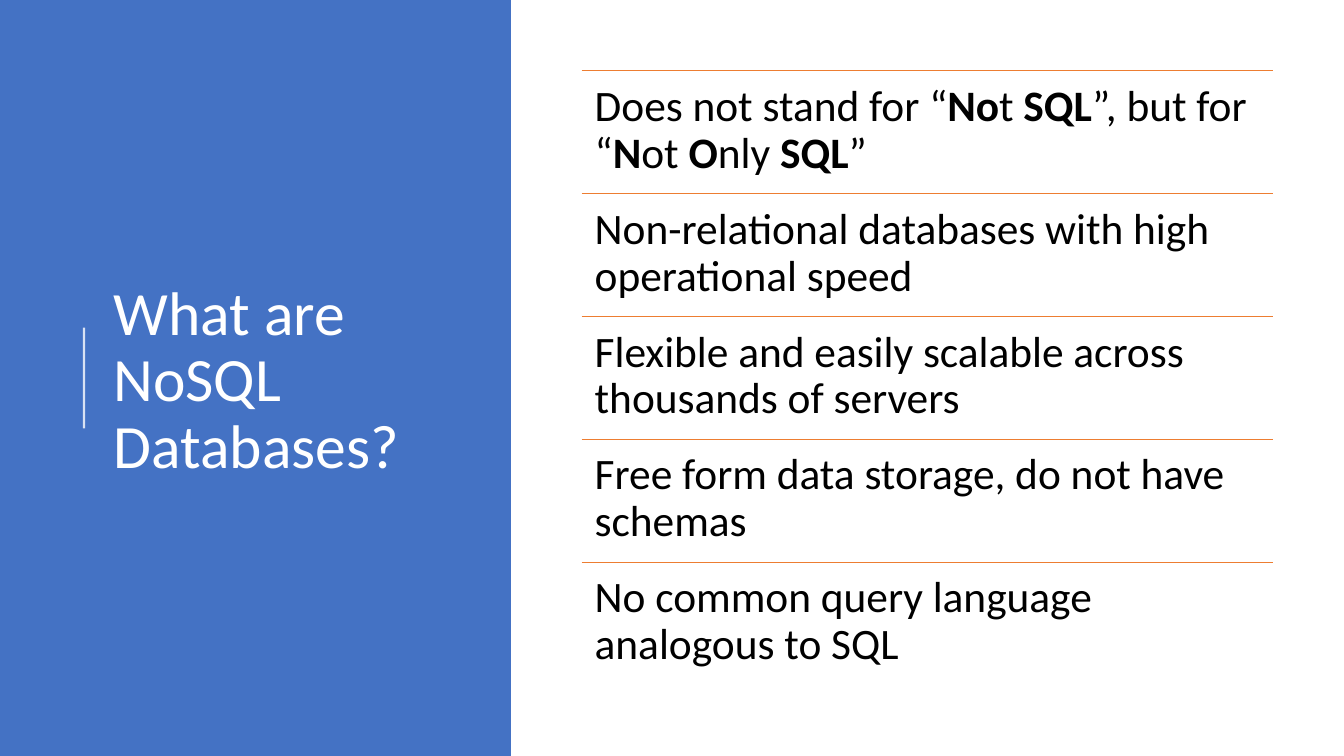
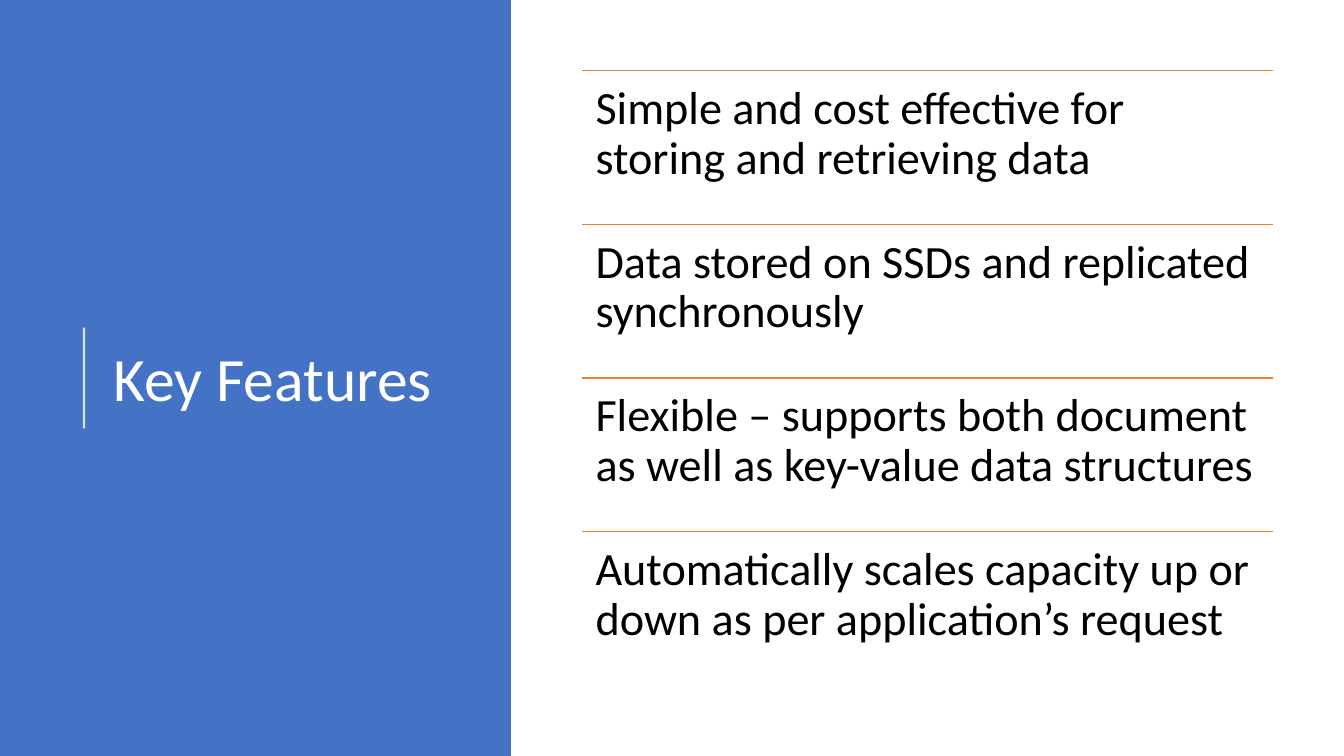
from collections import namedtuple
from dataclasses import dataclass

from lxml import etree
from pptx import Presentation
from pptx import util as u
from pptx.dml.color import RGBColor
from pptx.enum import shapes, text
from pptx.oxml.ns import qn

Box = namedtuple("Box", "left top width height")


@dataclass(frozen=True)
class Theme:
    font: str = "Calibri"
    panel: RGBColor = RGBColor(0x44, 0x72, 0xC4)
    on_panel: RGBColor = RGBColor(0xFF, 0xFF, 0xFF)
    rule: RGBColor = RGBColor(0xED, 0x7D, 0x31)
    ink: RGBColor = RGBColor(0, 0, 0)
    title_size: float = 44
    spacing: float = 0.9
    inset_ratio: float = 0.3
    accent_width: float = 1.5
    accent_opacity: int = 80
    rule_width: float = 1


THEME = Theme()
PAGE = Box(0, 0, 960, 540)
PANEL = Box(0, 0, 365, 540)
POINTS = Box(415.5, 50.5, 494, 439)

TOPICS = [
    ("What are NoSQL Databases?", 31, [
        [("Does not stand for “", False), ("No", True), ("t ", False), ("SQL", True),
         ("”, but for “", False), ("N", True), ("ot ", False), ("O", True),
         ("nly ", False), ("SQL", True), ("”", False)],
        [("Non-relational databases with high operational speed", False)],
        [("Flexible and easily scalable across thousands of servers", False)],
        [("Free form data storage, do not have schemas", False)],
        [("No common query language analogous to SQL", False)],
    ]),
    ("Key Features", 33, [
        [("Simple and cost effective for storing and retrieving data", False)],
        [("Data stored on SSDs and replicated synchronously", False)],
        [("Flexible – supports both document as well as key-value data structures", False)],
        [("Automatically scales capacity up or down as per application’s request", False)],
    ]),
]


def points(values):
    return [u.Pt(value) for value in values]


def add_line(page, start, end, color, width, opacity=100):
    line = page.shapes.add_connector(
        shapes.MSO_CONNECTOR.STRAIGHT, *points(start + end))
    line.line.color.rgb = color
    line.line.width = u.Pt(width)
    properties = line.element.spPr
    if opacity < 100:
        shade = properties.find(".//" + qn("a:srgbClr"))
        etree.SubElement(shade, qn("a:alpha"), val=str(opacity * 1000))
    etree.SubElement(properties, qn("a:effectLst"))


def add_text(page, box, runs, size, color, anchor, inset):
    frame = page.shapes.add_textbox(*points(box)).text_frame
    frame.word_wrap = True
    frame.vertical_anchor = anchor
    frame.margin_left = frame.margin_right = u.Pt(inset[0])
    frame.margin_top = frame.margin_bottom = u.Pt(inset[1])
    para = frame.paragraphs[0]
    para.line_spacing = THEME.spacing
    for content, bold in runs:
        span = para.add_run()
        span.text = content
        span.font.name = THEME.font
        span.font.size = u.Pt(size)
        span.font.bold = bold
        span.font.color.rgb = color


def add_title_panel(page, box, title):
    panel = page.shapes.add_shape(shapes.MSO_SHAPE.RECTANGLE, *points(box))
    panel.shadow.inherit = False
    panel.fill.solid()
    panel.fill.fore_color.rgb = THEME.panel
    panel.line.fill.background()

    accent_x = box.left + 60
    middle = box.top + box.height / 2
    add_line(page, (accent_x, middle - 36), (accent_x, middle + 36),
             THEME.on_panel, THEME.accent_width, THEME.accent_opacity)
    title_box = Box(box.left + 74, box.top + 56, box.width - 99, 433.5)
    add_text(page, title_box, [(title, False)], THEME.title_size,
             THEME.on_panel, text.MSO_ANCHOR.MIDDLE, (7.2, 3.6))


def add_ruled_list(page, box, items, size):
    row_height = box.height / len(items)
    inset = size * THEME.inset_ratio
    for index, runs in enumerate(items):
        row = Box(box.left, box.top + index * row_height, box.width, row_height)
        add_line(page, (row.left, row.top), (row.left + row.width, row.top),
                 THEME.rule, THEME.rule_width)
        add_text(page, row, runs, size, THEME.ink,
                 text.MSO_ANCHOR.TOP, (inset, inset))


def add_topic(deck, title, size, items):
    page = deck.slides.add_slide(deck.slide_layouts[6])
    add_title_panel(page, PANEL, title)
    add_ruled_list(page, POINTS, items, size)


def main():
    deck = Presentation()
    deck.slide_width, deck.slide_height = points(PAGE[2:])
    for topic in TOPICS:
        add_topic(deck, *topic)
    deck.save("out.pptx")


if __name__ == "__main__":
    main()
